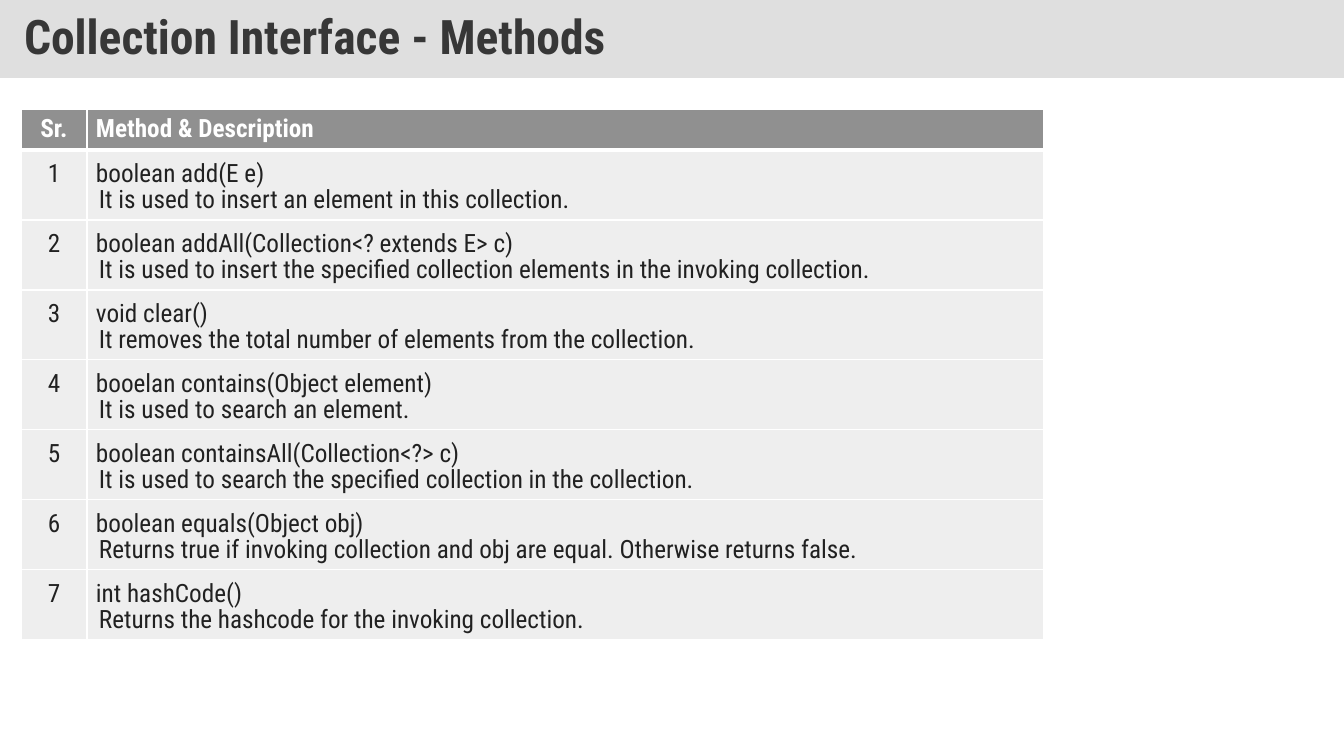
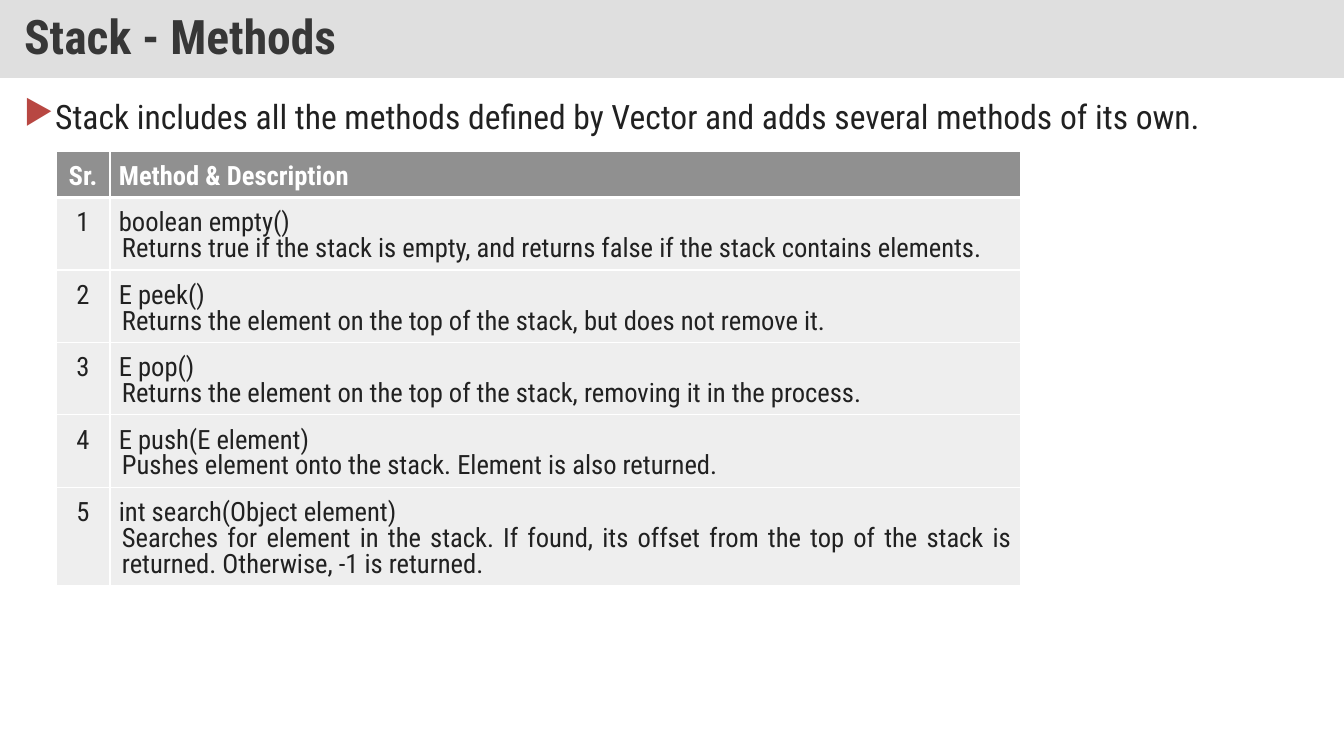
"""Build two slides that list Java collection and stack methods."""
import lxml.etree
import pptx
import pptx.dml.color
import pptx.enum.text
import pptx.oxml.ns
import pptx.util

RGBColor = pptx.dml.color.RGBColor
ALIGN = pptx.enum.text.PP_ALIGN
ANCHOR = pptx.enum.text.MSO_ANCHOR
SLIDE_WIDTH, SLIDE_HEIGHT = 1344, 756
EMU_PER_PX = 12192000 / SLIDE_WIDTH
FONT = "Roboto Condensed"
WHITE = RGBColor(0xFF, 0xFF, 0xFF)
BAND = RGBColor(0xC0, 0xC0, 0xC0)
TITLE_TEXT = RGBColor(0x37, 0x37, 0x37)
BODY_TEXT = RGBColor(0x21, 0x21, 0x21)
BULLET = RGBColor(0xB8, 0x47, 0x42)
HEADER_FILL = RGBColor(0x90, 0x90, 0x90)
ROW_FILL = RGBColor(0xEE, 0xEE, 0xEE)
GRID_LINE, HEADER_LINE = 0.96, 3
TABLE_HEADER = ("Sr.", "Method & Description")

COLLECTION_METHODS = [
    ("boolean add(E e)", "It is used to insert an element in this collection."),
    ("boolean addAll(Collection<? extends E> c)",
     "It is used to insert the specified collection elements in the invoking collection."),
    ("void clear()", "It removes the total number of elements from the collection."),
    ("booelan contains(Object element)", "It is used to search an element."),
    ("boolean containsAll(Collection<?> c)",
     "It is used to search the specified collection in the collection."),
    ("boolean equals(Object obj)",
     "Returns true if invoking collection and obj are equal. Otherwise returns false."),
    ("int hashCode()", "Returns the hashcode for the invoking collection."),
]
STACK_METHODS = [
    ("boolean empty()",
     "Returns true if the stack is empty, and returns false if the stack contains elements."),
    ("E peek()", "Returns the element on the top of the stack, but does not remove it."),
    ("E pop()", "Returns the element on the top of the stack, removing it in the process."),
    ("E push(E element)", "Pushes element onto the stack. Element is also returned."),
    ("int search(Object element)",
     "Searches for element in the stack. If found, its offset from the top of the stack is "
     "returned. Otherwise, -1 is returned."),
]


def px(length):
    """Turn a length in pixels into EMU."""
    return pptx.util.Emu(round(length * EMU_PER_PX))


def add_element(parent, tag, **attributes):
    """Append a DrawingML element and return it."""
    element = lxml.etree.SubElement(parent, pptx.oxml.ns.qn(tag))
    for name, value in attributes.items():
        element.set(name, str(value))
    return element


def write(paragraph, text, size, color, bold=False, align=ALIGN.LEFT, spacing=1.15):
    """Fill a paragraph with text in one style."""
    paragraph.text = text
    paragraph.alignment = align
    paragraph.line_spacing = spacing
    font = paragraph.font
    font.name, font.size, font.bold = FONT, pptx.util.Pt(size), bold
    font.color.rgb = color


def set_insets(frame, across, down):
    """Set the left and right, then the top and bottom insets."""
    frame.margin_left = frame.margin_right = px(across)
    frame.margin_top = frame.margin_bottom = px(down)


def add_titled_slide(deck, heading):
    """Add a slide with its heading on the grey band."""
    slide = deck.slides.add_slide(deck.slide_layouts[5])
    title = slide.shapes.title
    title.left, title.top, title.width, title.height = px(0), px(0), px(SLIDE_WIDTH), px(78)
    title.fill.solid()
    title.fill.fore_color.rgb = BAND
    band_color = next(title.fill._xPr.iter(pptx.oxml.ns.qn("a:srgbClr")))
    add_element(band_color, "a:alpha", val=50000)
    frame = title.text_frame
    frame.auto_size = pptx.enum.text.MSO_AUTO_SIZE.NONE
    frame.vertical_anchor = ANCHOR.MIDDLE
    set_insets(frame, 24, 12)
    write(frame.paragraphs[0], heading, 34, TITLE_TEXT, bold=True, spacing=0.9)
    return slide


def add_bullet(slide, text, left, top, width, height):
    """Add one bulleted statement."""
    frame = slide.shapes.add_textbox(px(left), px(top), px(width), px(height)).text_frame
    frame.word_wrap = True
    set_insets(frame, 10, 5)
    statement = frame.paragraphs[0]
    write(statement, text, 24, BODY_TEXT, align=ALIGN.JUSTIFY, spacing=0.9)
    statement.space_before = pptx.util.Pt(10)
    properties = statement._p.get_or_add_pPr()
    properties.set("marL", str(px(29)))
    properties.set("indent", str(-px(29)))
    font_defaults = properties.find(pptx.oxml.ns.qn("a:defRPr"))
    add_element(add_element(properties, "a:buClr"), "a:srgbClr", val=BULLET)
    add_element(properties, "a:buChar", char="▶")
    properties.append(font_defaults)


def style_cell(cell, fill, top_line, bottom_line):
    """Give a cell its insets, white borders and fill."""
    set_insets(cell, 9, 5)
    properties = cell._tc.get_or_add_tcPr()
    borders = {"a:lnL": GRID_LINE, "a:lnR": GRID_LINE, "a:lnT": top_line, "a:lnB": bottom_line}
    for tag, weight in borders.items():
        border = add_element(properties, tag, w=pptx.util.Pt(weight))
        add_element(add_element(border, "a:solidFill"), "a:srgbClr", val=WHITE)
    cell.fill.solid()
    cell.fill.fore_color.rgb = fill


def add_method_table(slide, methods, left, top, columns, heights, size, header_spacing):
    """Add a numbered table of methods and descriptions."""
    table = slide.shapes.add_table(
        len(heights), len(columns), px(left), px(top), px(sum(columns)), px(sum(heights))).table
    table.horz_banding = False
    for column, width in zip(table.columns, columns):
        column.width = px(width)
    for row, height in zip(table.rows, heights):
        row.height = px(height)
    aligns = (ALIGN.CENTER, ALIGN.LEFT)
    for cell, label, align in zip(table.rows[0].cells, TABLE_HEADER, aligns):
        style_cell(cell, HEADER_FILL, GRID_LINE, HEADER_LINE)
        write(cell.text_frame.paragraphs[0], label, size, WHITE, True, align, header_spacing)
    for number, (signature, description) in enumerate(methods, start=1):
        top_line = HEADER_LINE if number == 1 else GRID_LINE
        cells = table.rows[number].cells
        for cell, text, align in zip(cells, (str(number), signature), aligns):
            style_cell(cell, ROW_FILL, top_line, GRID_LINE)
            write(cell.text_frame.paragraphs[0], text, size, BODY_TEXT, align=align)
        explanation = cells[1].text_frame.add_paragraph()
        write(explanation, description, size, BODY_TEXT, align=ALIGN.JUSTIFY,
              spacing=pptx.util.Pt(18.4))
        explanation._p.get_or_add_pPr().set("marL", str(px(3)))


def main():
    """Build and save the presentation."""
    deck = pptx.Presentation()
    deck.slide_width, deck.slide_height = px(SLIDE_WIDTH), px(SLIDE_HEIGHT)

    collection = add_titled_slide(deck, "Collection Interface - Methods")
    add_method_table(collection, COLLECTION_METHODS, 21, 109, (66, 957),
                     [41] + [70] * 7, size=18, header_spacing=1.0)

    stack = add_titled_slide(deck, "Stack - Methods")
    add_bullet(stack, "Stack includes all the methods defined by Vector and adds several "
               "methods of its own.", 14, 95, 1315, 616)
    add_method_table(stack, STACK_METHODS, 56, 151, (54, 911),
                     [45] + [72] * 4 + [97], size=19, header_spacing=1.15)

    deck.save("out.pptx")


if __name__ == "__main__":
    main()
